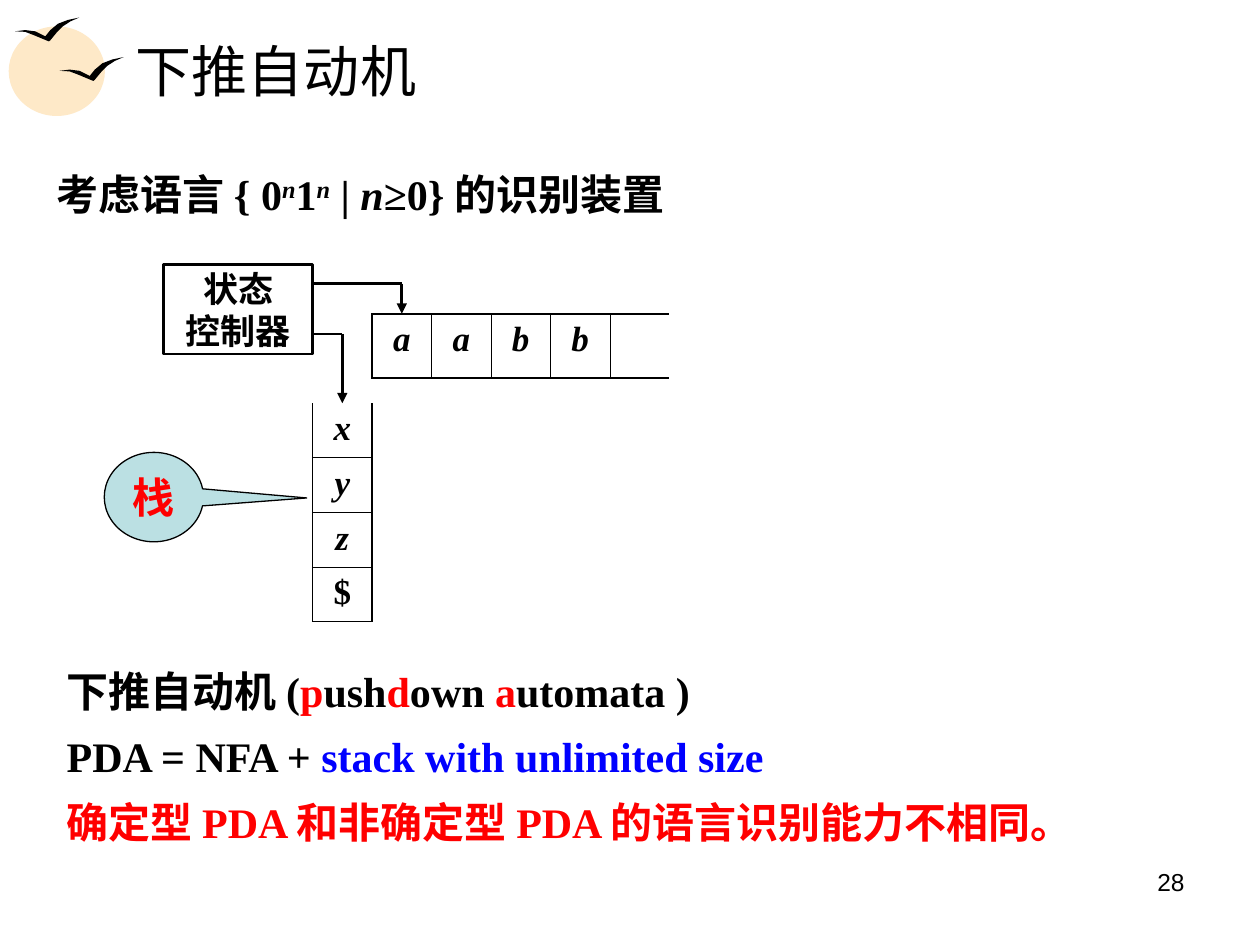
"""Build a slide that introduces pushdown automata."""
from lxml import etree
from pptx import Presentation
from pptx import util as u
from pptx.dml.color import RGBColor
from pptx.enum import shapes, text
from pptx.oxml import ns

BLACK = RGBColor(0x00, 0x00, 0x00)
RED = RGBColor(0xFF, 0x00, 0x00)
BLUE = RGBColor(0x00, 0x00, 0xFF)
TEAL = RGBColor(0xBB, 0xE0, 0xE3)
SUN = RGBColor(0xFE, 0xE9, 0xC8)
SERIF, SANS = "Times New Roman", "Arial"
CENTER, RIGHT = text.PP_ALIGN.CENTER, text.PP_ALIGN.RIGHT
TOP, MIDDLE = text.MSO_ANCHOR.TOP, text.MSO_ANCHOR.MIDDLE
BIRD = [(0, 7.9), (5.8, 7.2), (11.5, 7.9), (17.3, 10.8), (20.2, 7.2), (24.5, 3.6),
        (30.2, 1.4), (36.7, 0), (31.7, 2.2), (27.4, 5), (23.8, 8.6), (20.2, 13),
        (19.4, 13.7), (15.8, 12.2), (10.8, 10.1), (5.8, 8.2)]


def sub(parent, tag, **attrs):
    return etree.SubElement(parent, ns.qn(tag), **attrs)


class Board:
    def __init__(self, slide, thin=0.5, medium=1, thick=1.5):
        self.s = slide
        self.thin, self.medium, self.thick = thin, medium, thick

    def fill_text(self, tf, paras, size, font=SERIF, bold=True, italic=False, align=None,
                  hanging=False):
        for i, runs in enumerate(paras):
            p = tf.paragraphs[0] if i == 0 else tf.add_paragraph()
            p.alignment = align
            if hanging:
                p._p.get_or_add_pPr().set("marL", str(u.Pt(27)))
                p._p.get_or_add_pPr().set("indent", str(u.Pt(-27)))
                p.line_spacing = 1.15
                if i:
                    p.space_before = u.Pt(4.5)
            for words, look in runs:
                r = p.add_run()
                r.text = words
                f = r.font
                f.name, f.size, f.bold = font, u.Pt(size), bold
                f.italic = look.get("italic", italic)
                f.color.rgb = look.get("color", BLACK)
                if look.get("raised"):
                    r._r.get_or_add_rPr().set("baseline", "30000")

    def text(self, x, y, w, h, paras, size, anchor=TOP, **style):
        sp = self.s.shapes.add_textbox(u.Pt(x), u.Pt(y), u.Pt(w), u.Pt(h))
        tf = sp.text_frame
        tf.word_wrap, tf.vertical_anchor = True, anchor
        self.fill_text(tf, paras, size, **style)

    def paint(self, sp, fill=None, line=None):
        sp.shadow.inherit = False
        if fill is None:
            sp.fill.background()
        else:
            sp.fill.solid()
            sp.fill.fore_color.rgb = fill
        if line is None:
            sp.line.fill.background()
        else:
            sp.line.color.rgb = BLACK
            sp.line.width = u.Pt(line)

    def shape(self, kind, x, y, w, h, fill=None, line=None, paras=(), size=20,
              anchor=TOP, wrap=True):
        sp = self.s.shapes.add_shape(kind, u.Pt(x), u.Pt(y), u.Pt(w), u.Pt(h))
        self.paint(sp, fill, line)
        tf = sp.text_frame
        tf.word_wrap, tf.vertical_anchor = wrap, anchor
        self.fill_text(tf, paras, size, font=SANS, align=CENTER)
        return sp

    def bird(self, x, y):
        pts = [(u.Pt(x + dx), u.Pt(y + dy)) for dx, dy in BIRD]
        fb = self.s.shapes.build_freeform(*pts[0])
        fb.add_line_segments(pts[1:], close=True)
        self.paint(fb.convert_to_shape(), BLACK)

    def line(self, x1, y1, x2, y2, arrow=False):
        c = self.s.shapes.add_connector(shapes.MSO_CONNECTOR.STRAIGHT,
                                        u.Pt(x1), u.Pt(y1), u.Pt(x2), u.Pt(y2))
        c.line.color.rgb = BLACK
        c.line.width = u.Pt(self.thick)
        if arrow:
            sub(c.line._get_or_add_ln(), "a:tailEnd", type="triangle")
        sub(c._element.spPr, "a:effectLst")

    def elbow(self, x1, y1, x2, y2):
        self.line(x1, y1, x2, y1)
        self.line(x2, y1, x2, y2, arrow=True)

    def cell(self, cell, word, borders):
        tc = cell._tc.get_or_add_tcPr()
        for side, width in zip("LRTB", borders):
            ln = sub(tc, f"a:ln{side}", w=str(u.Pt(width)))
            if width:
                sub(sub(ln, "a:solidFill"), "a:srgbClr", val=str(BLACK))
            else:
                sub(ln, "a:noFill")
        cell.fill.background()
        if word:
            self.fill_text(cell.text_frame, [[(word, {})]], 20, italic=word.isalpha(),
                           align=CENTER)

    def table(self, x, y, w, h, words, upright):
        n = len(words)
        rows, cols = (n, 1) if upright else (1, n)
        t = self.s.shapes.add_table(rows, cols, u.Pt(x), u.Pt(y), u.Pt(w * cols),
                                    u.Pt(h * rows)).table
        t.first_row = t.horz_banding = False
        for i, word in enumerate(words):
            if upright:
                borders = (self.medium, self.medium, self.thin if i else 0, self.thin)
                self.cell(t.cell(i, 0), word, borders)
            else:
                borders = (self.thin if i else self.medium, self.thin if i < n - 1 else 0,
                           self.medium, self.medium)
                self.cell(t.cell(0, i), word, borders)


def main():
    prs = Presentation()
    prs.slide_width, prs.slide_height = u.Pt(720), u.Pt(540)
    b = Board(prs.slides.add_slide(prs.slide_layouts[6]))
    kinds = shapes.MSO_SHAPE
    red, blue = {"color": RED}, {"color": BLUE}
    var, power = {"italic": True}, {"italic": True, "raised": True}

    b.shape(kinds.OVAL, 5, 15.1, 55, 51.2, fill=SUN)
    b.bird(34, 32.6)
    b.bird(8.6, 10)
    b.text(516.2, 491.8, 167.8, 37.4, [[("28", {})]], 14, font=SANS, bold=False,
           align=RIGHT)
    b.text(70.6, 15.1, 614, 49.7, [[("下推自动机", {})]], 32, anchor=MIDDLE, bold=False)
    b.text(25.2, 88.6, 657.4, 45.4,
           [[("考虑语言 { 0", {}), ("n", power), ("1", {}), ("n", power), (" | ", {}),
             ("n", var), ("≥0} 的识别装置", {})]], 24, hanging=True)

    cell_w, stack_x, stack_y = 34, 178.6, 230.4
    tape_x, tape_y = stack_x + cell_w, 179.3
    b.table(stack_x, stack_y, cell_w, 31.2, ["x", "y", "z", "$"], upright=True)
    b.shape(kinds.RECTANGLE, 93.6, 151.2, 85, 51.1, line=b.thick, anchor=MIDDLE,
            paras=[[("状态", {})], [("控制器", {})]], wrap=False)
    b.elbow(stack_x, 162, tape_x + cell_w / 2, tape_y)
    b.elbow(stack_x, 190.8, stack_x + cell_w / 2, stack_y)
    sp = b.shape(kinds.OVAL_CALLOUT, 59.6, 258.5, 56.7, 51.1, fill=TEAL, line=0.75,
                 paras=[[("栈", red)]], size=24)
    sp.adjustments[0], sp.adjustments[1] = 1.54, 0.01

    b.text(31, 372.2, 668.9, 153.4, [
        [("下推自动机 (", {}), ("p", red), ("ush", {}), ("d", red), ("own ", {}),
         ("a", red), ("utomata )", {})],
        [("PDA = NFA + ", {}), ("stack with unlimited size", blue)],
        [("确定型 PDA 和非确定型 PDA 的语言识别能力不相同。", red)],
    ], 24, hanging=True)
    b.table(tape_x, tape_y, cell_w, 36.7, ["a", "a", "b", "b", ""], upright=False)
    prs.save("out.pptx")


if __name__ == "__main__":
    main()
